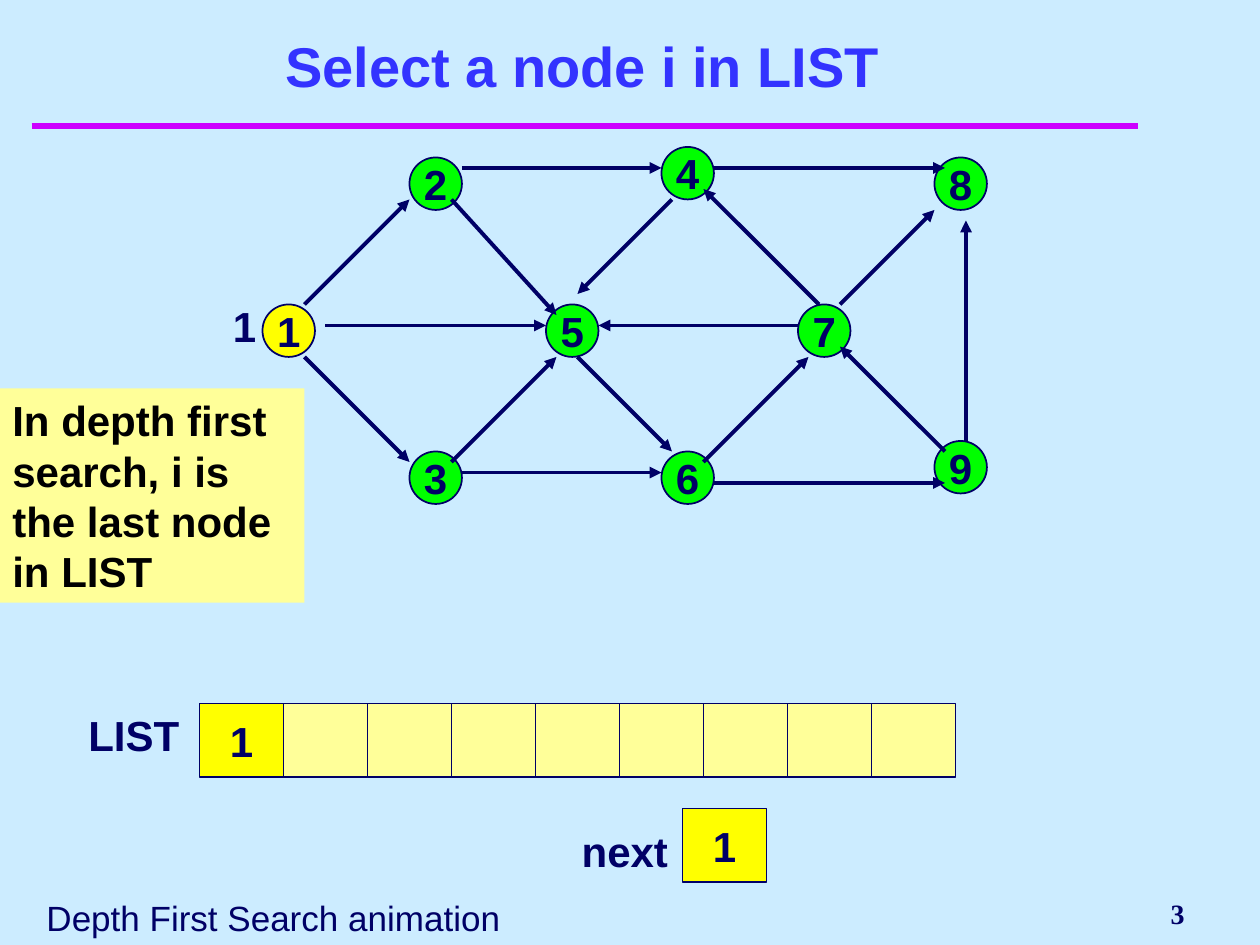
import pptx
import pptx.util
import pptx.dml.color
import pptx.enum.shapes
import pptx.enum.text
from dataclasses import dataclass

SHAPE = pptx.enum.shapes.MSO_SHAPE
ALIGN = pptx.enum.text.PP_ALIGN
ANCHOR = pptx.enum.text.MSO_ANCHOR


@dataclass(frozen=True)
class Theme:
    background: str = "CCECFF"
    navy: str = "000066"
    title: str = "3333FF"
    rule: str = "CC00FF"
    black: str = "000000"
    unvisited: str = "00FF00"
    active: str = "FFFF00"
    pale: str = "FFFF99"
    sans: str = "Arial"
    serif: str = "Times New Roman"
    title_size: int = 32
    body_size: int = 24
    footer_size: int = 20
    number_size: int = 16
    outline: float = 1
    arrow: float = 2.25
    rule_width: float = 4


THEME = Theme()

# The slide is a grid of 120 columns by 90 rows, 12 to the inch.
COLUMNS, ROWS, PER_INCH = 120, 90, 12
NODE_SIZE = 5
CELL_WIDTH, CELL_HEIGHT = 8, 7

# Node label: left column, top row
NODES = {"2": (39, 15), "4": (63, 14), "5": (52, 29), "3": (39, 43), "6": (63, 43),
         "9": (89, 42), "7": (76, 29), "8": (89, 15), "1": (25, 29)}
START_NODE = "1"

# Arrow tail and head: column, row, column, row
ARCS = [
    (29, 29, 39, 19),  # 1 to 2
    (31, 31, 52, 31),  # 1 to 5
    (29, 34, 39, 44),  # 1 to 3
    (44, 16, 63, 16),  # 2 to 4
    (43, 19, 53, 30),  # 2 to 5
    (43, 44, 53, 34),  # 3 to 5
    (44, 45, 63, 45),  # 3 to 6
    (68, 16, 90, 16),  # 4 to 8
    (64, 19, 55, 28),  # 4 to 5
    (55, 34, 64, 43),  # 5 to 6
    (67, 44, 77, 34),  # 6 to 7
    (68, 46, 90, 46),  # 6 to 9
    (78, 29, 67, 18),  # 7 to 4
    (76, 31, 57, 31),  # 7 to 5
    (80, 29, 89, 20),  # 7 to 8
    (90, 43, 80, 33),  # 9 to 7
    (92, 42, 92, 21),  # 9 to 8
]

LIST_CELLS = ["1"] + [""] * 8
LIST_ORIGIN = (19, 67)
NEXT_CELL = ("1", 65, 77)

# Text, (left, top, width, height), paragraph alignment, font changes, frame changes
TEXTS = [
    ("Select a node i in LIST", (6, 3, 102, 7), ALIGN.CENTER,
     {"size": THEME.title_size, "color": THEME.title},
     {"vertical_anchor": ANCHOR.BOTTOM, "margin_right": pptx.util.Inches(0.35)}),
    ("LIST", (5, 67, 13.25, 6), ALIGN.RIGHT, {}, {}),
    ("next", (52, 78, 12.8, 6), ALIGN.RIGHT, {}, {}),
    ("1", (21, 28, 4, 6), ALIGN.LEFT, {}, {}),
    ("Depth First Search animation", (3.25, 84.75, 48, 5.25), ALIGN.LEFT,
     {"size": THEME.footer_size, "bold": False}, {}),
    ("3", (91, 84, 23, 6), ALIGN.RIGHT,
     {"size": THEME.number_size, "name": THEME.serif},
     {"vertical_anchor": ANCHOR.MIDDLE}),
]
CALLOUT = ("In depth first search, i is the last node in LIST", (0, 37, 29, 20.4))
TITLE_RULE = (3, 12, 108.4, 12)


def grid(value):
    return pptx.util.Inches(value / PER_INCH)


def rgb(value):
    return pptx.dml.color.RGBColor.from_string(value)


def write(box, text, align, font=None, frame=None):
    text_frame = box.text_frame
    frame_format = {"word_wrap": True, "vertical_anchor": ANCHOR.TOP, **(frame or {})}
    for name, value in frame_format.items():
        setattr(text_frame, name, value)
    para = text_frame.paragraphs[0]
    para.alignment = align
    span = para.add_run()
    span.text = text
    font_format = {"name": THEME.sans, "size": THEME.body_size, "bold": True,
                   "color": THEME.navy, **(font or {})}
    span.font.color.rgb = rgb(font_format.pop("color"))
    font_format["size"] = pptx.util.Pt(font_format["size"])
    for name, value in font_format.items():
        setattr(span.font, name, value)
    return para


def add_block(page, kind, place, fill, outlined=True):
    block = page.shapes.add_shape(kind, *map(grid, place))
    block.shadow.inherit = False
    block.fill.solid()
    block.fill.fore_color.rgb = rgb(fill)
    if outlined:
        block.line.color.rgb = rgb(THEME.navy)
        block.line.width = pptx.util.Pt(THEME.outline)
    else:
        block.line.fill.background()
    return block


def add_labelled(page, kind, place, fill, label):
    block = add_block(page, kind, place, fill)
    if label:
        write(block, label, ALIGN.CENTER,
              frame={"word_wrap": False, "vertical_anchor": ANCHOR.MIDDLE})


def add_line(page, ends, color, width, arrow=False):
    line = page.shapes.add_connector(
        pptx.enum.shapes.MSO_CONNECTOR.STRAIGHT, *map(grid, ends))
    line.line.color.rgb = rgb(color)
    line.line.width = pptx.util.Pt(width)
    if arrow:
        head = pptx.oxml.parse_xml(
            '<a:tailEnd xmlns:a="http://schemas.openxmlformats.org/drawingml/2006/main"'
            ' type="triangle"/>')
        line.line._get_or_add_ln().append(head)
    line._element.spPr.append(pptx.oxml.parse_xml(
        '<a:effectLst xmlns:a="http://schemas.openxmlformats.org/drawingml/2006/main"/>'))


def main():
    deck = pptx.Presentation()
    deck.slide_width, deck.slide_height = grid(COLUMNS), grid(ROWS)
    page = deck.slides.add_slide(deck.slide_layouts[6])
    page.background.fill.solid()
    page.background.fill.fore_color.rgb = rgb(THEME.background)

    add_line(page, TITLE_RULE, THEME.rule, THEME.rule_width)
    for text, place, align, font, frame in TEXTS:
        box = page.shapes.add_textbox(*map(grid, place))
        write(box, text, align, font, frame)

    text, place = CALLOUT
    callout = add_block(page, SHAPE.RECTANGLE, place, THEME.pale, outlined=False)
    para = write(callout, text, ALIGN.LEFT, {"color": THEME.black})
    para.line_spacing = pptx.util.Pt(THEME.body_size * 1.2)

    for label, (left, top) in NODES.items():
        fill = THEME.active if label == START_NODE else THEME.unvisited
        add_labelled(page, SHAPE.OVAL, (left, top, NODE_SIZE, NODE_SIZE), fill, label)
    for ends in ARCS:
        add_line(page, ends, THEME.navy, THEME.arrow, arrow=True)

    left, top = LIST_ORIGIN
    cells = [(label, left + index * CELL_WIDTH, top)
             for index, label in enumerate(LIST_CELLS)]
    for label, column, row in cells + [NEXT_CELL]:
        add_labelled(page, SHAPE.RECTANGLE, (column, row, CELL_WIDTH, CELL_HEIGHT),
                     THEME.active if label else THEME.pale, label)

    deck.save("out.pptx")


if __name__ == "__main__":
    main()
